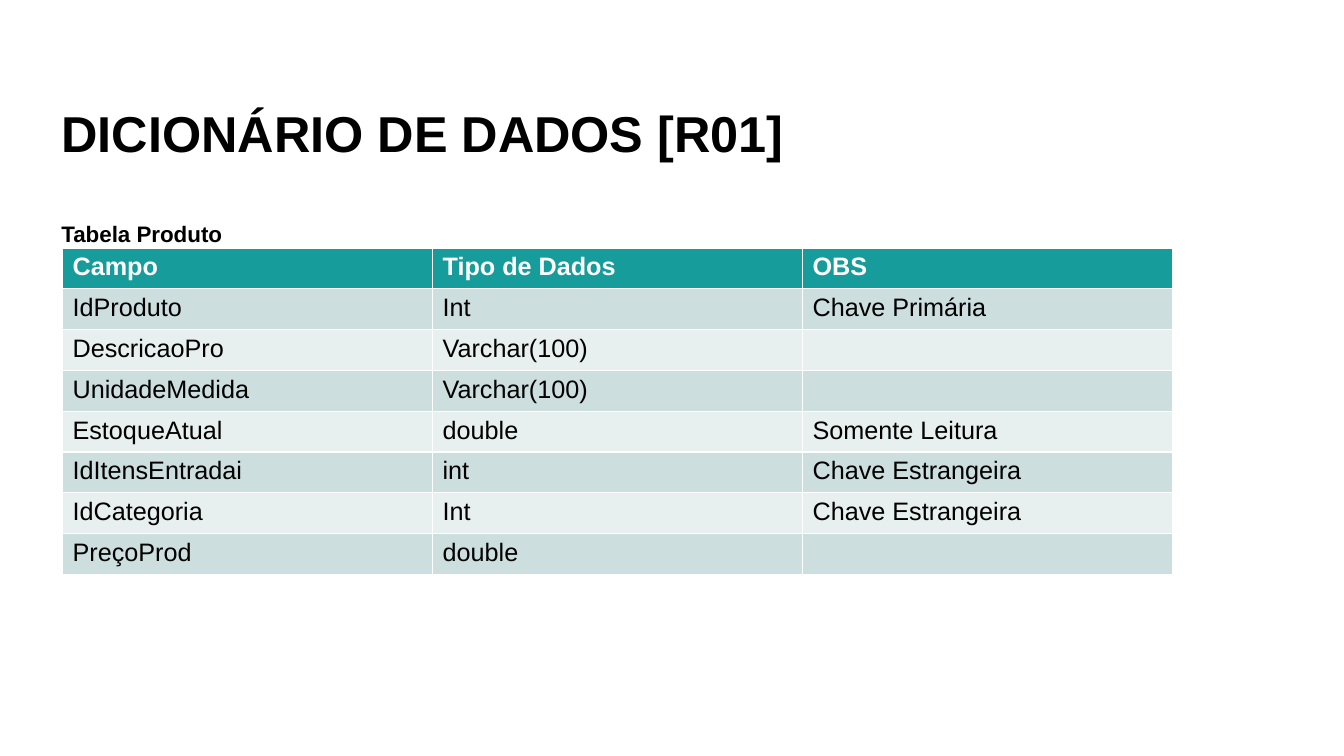
"""Build the data dictionary slide for the product table."""
from pptx import Presentation
from pptx.dml.color import RGBColor
from pptx.enum.text import MSO_ANCHOR, MSO_AUTO_SIZE, PP_ALIGN
from pptx.util import Inches, Pt

BOTTOM, NO_FIT, LEFT = MSO_ANCHOR.BOTTOM, MSO_AUTO_SIZE.NONE, PP_ALIGN.LEFT

TITLE = "DICIONÁRIO DE DADOS [R01]"
CAPTION = "Tabela Produto"
ROWS = [
    ("Campo", "Tipo de Dados", "OBS"),
    ("IdProduto", "Int", "Chave Primária"),
    ("DescricaoPro", "Varchar(100)", ""),
    ("UnidadeMedida", "Varchar(100)", ""),
    ("EstoqueAtual", "double", "Somente Leitura"),
    ("IdItensEntradai", "int", "Chave Estrangeira"),
    ("IdCategoria", "Int", "Chave Estrangeira"),
    ("PreçoProd", "double", ""),
]
COLORS = {"text": "000000", "header_text": "FFFFFF", "header": "169C9A",
          "odd": "CCDEDE", "even": "E8EFEF"}
FONT = "Arial"
TABLE_BOX = (0.62, 2.46, 11.01, 3.24)


def rgb(name):
    return RGBColor.from_string(COLORS[name])


def style(p, size, color, bold):
    p.font.name = FONT
    p.font.size = Pt(size)
    p.font.bold = bold
    p.font.color.rgb = rgb(color)


def set_heading(sp, text, top, size):
    sp.left, sp.top = Inches(0.51), Inches(top)
    sp.width, sp.height = Inches(11.5), Inches(1.67)
    tf = sp.text_frame
    tf.word_wrap = True
    tf.auto_size = NO_FIT
    tf.vertical_anchor = BOTTOM
    p = tf.paragraphs[0]
    p.text = text
    p.alignment = LEFT
    p.line_spacing = 0.9
    style(p, size, "text", True)


def add_dictionary(s):
    left, top, width, height = map(Inches, TABLE_BOX)
    table = s.shapes.add_table(len(ROWS), len(ROWS[0]), left, top, width, height).table
    for i, row in enumerate(ROWS):
        fill = "header" if i == 0 else "odd" if i % 2 else "even"
        for j, text in enumerate(row):
            cell = table.cell(i, j)
            cell.fill.solid()
            cell.fill.fore_color.rgb = rgb(fill)
            cell.text = text
            style(cell.text_frame.paragraphs[0], 18,
                  "text" if i else "header_text", i == 0)


def main():
    prs = Presentation()
    prs.slide_width, prs.slide_height = Inches(13.33), Inches(7.5)
    s = prs.slides.add_slide(prs.slide_layouts[5])
    set_heading(s.shapes.title, TITLE, 0, 36)
    add_dictionary(s)
    set_heading(s.shapes.add_textbox(0, 0, 0, 0), CAPTION, 0.83, 16)
    prs.save("out.pptx")


if __name__ == "__main__":
    main()
